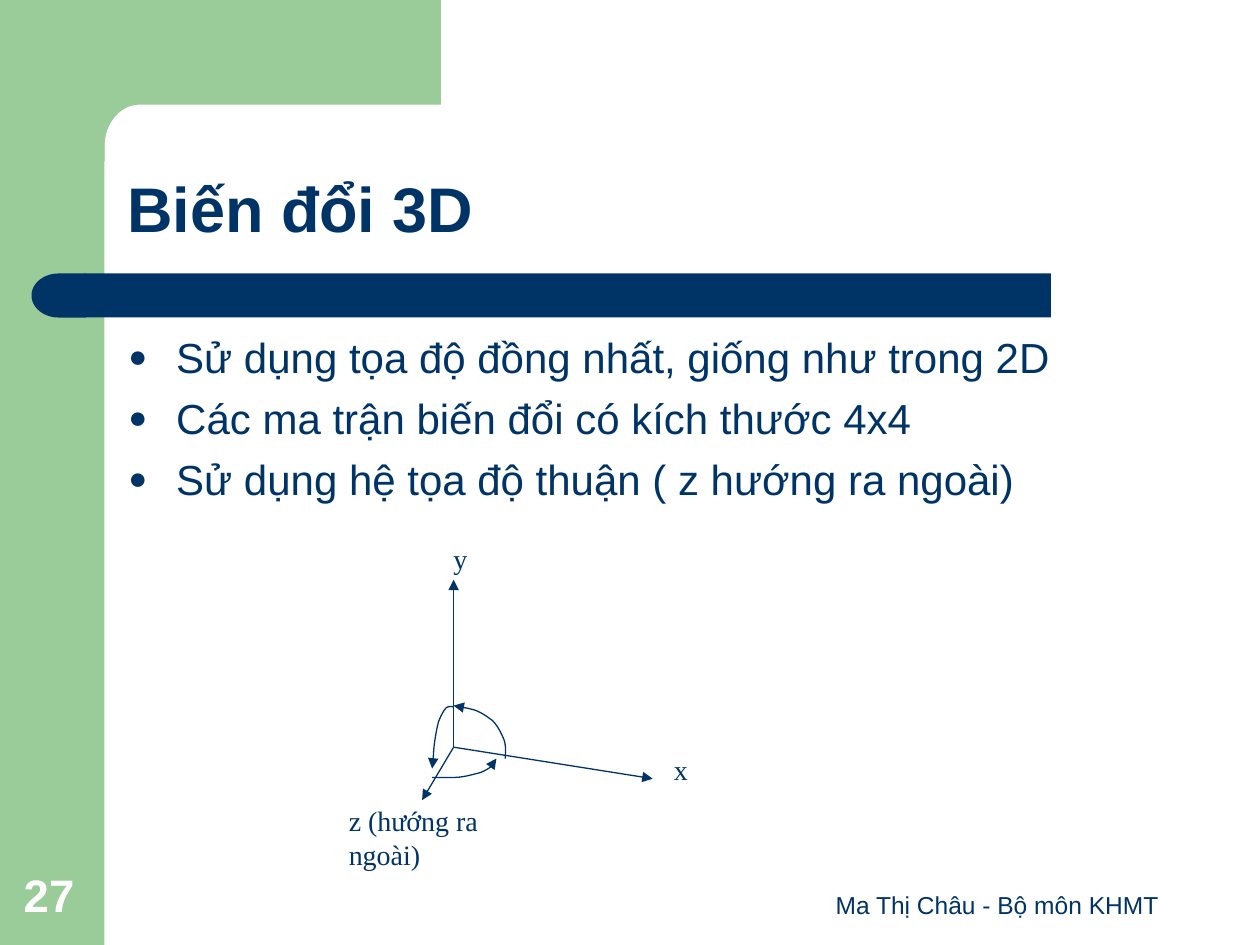
from math import cos, pi, sin

from lxml.etree import SubElement
from pptx import Presentation
from pptx.dml.color import RGBColor
from pptx.enum.shapes import MSO_CONNECTOR, MSO_SHAPE
from pptx.enum.text import MSO_ANCHOR, MSO_AUTO_SIZE, PP_ALIGN
from pptx.oxml.ns import qn
from pptx.util import Inches, Pt

THEME = {
    "navy": RGBColor(0x00, 0x33, 0x66),
    "green": RGBColor(0x99, 0xCC, 0x99),
    "white": RGBColor(0xFF, 0xFF, 0xFF),
    "title": 36,
    "number": 26,
    "body": 24,
    "label": 16,
    "footer": 14,
    "line": 0.75,
}


def write_text(shape, lines, size, font="Arial", color=THEME["navy"], bold=False,
               align=PP_ALIGN.LEFT, anchor=MSO_ANCHOR.TOP, wrap=True,
               spacing=1.0, before=0, bullet=None):
    frame = shape.text_frame
    frame.auto_size = MSO_AUTO_SIZE.NONE if wrap else MSO_AUTO_SIZE.SHAPE_TO_FIT_TEXT
    frame.word_wrap = wrap
    frame.vertical_anchor = anchor
    frame.text = "\n".join(lines)
    for paragraph in frame.paragraphs:
        paragraph.alignment = align
        paragraph.line_spacing = spacing
        paragraph.space_before = Pt(before)
        paragraph.font.size = Pt(size)
        for run in paragraph.runs:
            run.font.name = font
            run.font.size = Pt(size)
            run.font.bold = bold
            run.font.color.rgb = color
        if bullet:
            properties = paragraph._p.get_or_add_pPr()
            properties.set("marL", str(Inches(0.38)))
            properties.set("indent", str(Inches(-0.38)))
            bullet_color = SubElement(properties, qn("a:buClr"))
            SubElement(bullet_color, qn("a:srgbClr"), val=str(color))
            SubElement(properties, qn("a:buSzPct"), val="75000")
            SubElement(properties, qn("a:buFont"), typeface=font)
            SubElement(properties, qn("a:buChar"), char=bullet)


def style_arrow(shape):
    shape.line.color.rgb = THEME["navy"]
    shape.line.width = Pt(THEME["line"])
    SubElement(shape.line._get_or_add_ln(), qn("a:tailEnd"), type="triangle")


presentation = Presentation()
presentation.slide_width = Inches(10)
presentation.slide_height = Inches(7.5)
slide = presentation.slides.add_slide(presentation.slide_layouts[5])
shapes = slide.shapes

# Green corner with a rounded inner edge
arc_steps = 12
arc = [(1.11 - 0.28 * sin(pi / 2 * step / arc_steps),
        1.16 - 0.33 * cos(pi / 2 * step / arc_steps))
       for step in range(arc_steps + 1)]
outline = [(3.5, 0), (3.5, 0.83), *arc, (0.83, 1.28), (0.5, 1.28), (0.5, 0)]
points = [(Inches(x), Inches(y)) for x, y in outline]
builder = shapes.build_freeform(*points[0])
builder.add_line_segments(points[1:], close=True)
corner = builder.convert_to_shape()

# Side band and title bar with its round end
side_band = shapes.add_shape(MSO_SHAPE.RECTANGLE, 0, 0, Inches(0.83), Inches(7.5))
title_bar = shapes.add_shape(
    MSO_SHAPE.RECTANGLE, Inches(0.67), Inches(2.17), Inches(7.67), Inches(0.35))
bar_end = shapes.add_shape(
    MSO_SHAPE.FLOWCHART_DELAY, Inches(0.25), Inches(2.17), Inches(0.43), Inches(0.35))
bar_end.rotation = 180
for shape, color in ((corner, "green"), (side_band, "green"),
                     (title_bar, "navy"), (bar_end, "navy")):
    shape.shadow.inherit = False
    shape.fill.solid()
    shape.fill.fore_color.rgb = THEME[color]
    shape.line.fill.background()

# Title
title = shapes.title
title.left, title.top = Inches(0.91), Inches(0.91)
title.width, title.height = Inches(8.51), Inches(1.09)
write_text(title, ["Biến đổi 3D"], THEME["title"], bold=True,
           anchor=MSO_ANCHOR.BOTTOM, spacing=0.9)

# Bullet list
body = shapes.add_textbox(Inches(0.92), Inches(2.58), Inches(8.41), Inches(2.34))
write_text(body, [
    "Sử dụng tọa độ đồng nhất, giống như trong 2D",
    "Các ma trận biến đổi có kích thước 4x4",
    "Sử dụng hệ tọa độ thuận ( z hướng ra ngoài)",
], THEME["body"], before=6, bullet="●")

# Footer and slide number
footer = shapes.add_textbox(Inches(6.33), Inches(6.83), Inches(3.17), Inches(0.52))
write_text(footer, ["Ma Thị Châu - Bộ môn KHMT"], THEME["footer"],
           align=PP_ALIGN.CENTER, anchor=MSO_ANCHOR.BOTTOM)
number = shapes.add_textbox(Inches(0.09), Inches(6.83), Inches(0.64), Inches(0.53))
write_text(number, ["27"], THEME["number"], color=THEME["white"], bold=True,
           anchor=MSO_ANCHOR.BOTTOM)

# Axes from a shared origin, each with its label
origin = (3.6, 5.93)
axes = [
    ("y", (3.6, 4.6), (3.5, 4.25, 0.31)),
    ("x", (5.18, 6.18), (5.25, 5.92, 0.31)),
    ("z (hướng ra ngoài)", (3.35, 6.35), (2.67, 6.33, 1.84)),
]
for name, tip, (left, top, width) in axes:
    axis = shapes.add_connector(
        MSO_CONNECTOR.STRAIGHT, *(Inches(value) for value in origin + tip))
    style_arrow(axis)
    SubElement(axis._element.spPr, qn("a:effectLst"))
    label = shapes.add_textbox(Inches(left), Inches(top), Inches(width), Inches(0.37))
    write_text(label, [name], THEME["label"], font="Times New Roman", wrap=False)

# Rotation arrows: Bézier control points, three more for each segment
rotations = [
    [(4.01, 6.02), (4.01, 5.99), (4.02, 5.92), (4, 5.87),
     (3.98, 5.82), (3.95, 5.76), (3.91, 5.72),
     (3.87, 5.69), (3.83, 5.66), (3.78, 5.64),
     (3.73, 5.62), (3.64, 5.61), (3.6, 5.6)],
    [(3.6, 5.61), (3.59, 5.61), (3.56, 5.6), (3.54, 5.62),
     (3.52, 5.64), (3.5, 5.68), (3.48, 5.73),
     (3.47, 5.77), (3.46, 5.82), (3.45, 5.89),
     (3.44, 5.95), (3.44, 6.05), (3.43, 6.1)],
    [(3.43, 6.17), (3.46, 6.17), (3.55, 6.17), (3.61, 6.17),
     (3.67, 6.17), (3.74, 6.15), (3.78, 6.14),
     (3.83, 6.13), (3.86, 6.11), (3.89, 6.09),
     (3.91, 6.07), (3.93, 6.04), (3.94, 6.02)],
]
curve_steps = 6
for controls in rotations:
    builder = shapes.build_freeform(*(Inches(value) for value in controls[0]))
    for first in range(0, len(controls) - 1, 3):
        segment = controls[first:first + 4]
        points = []
        for step in range(1, curve_steps + 1):
            t = step / curve_steps
            weights = ((1 - t) ** 3, 3 * t * (1 - t) ** 2, 3 * t ** 2 * (1 - t), t ** 3)
            points.append(tuple(
                Inches(sum(weight * point[axis] for weight, point in zip(weights, segment)))
                for axis in (0, 1)))
        builder.add_line_segments(points, close=False)
    curve = builder.convert_to_shape()
    curve.shadow.inherit = False
    curve.fill.background()
    style_arrow(curve)

presentation.save("out.pptx")
